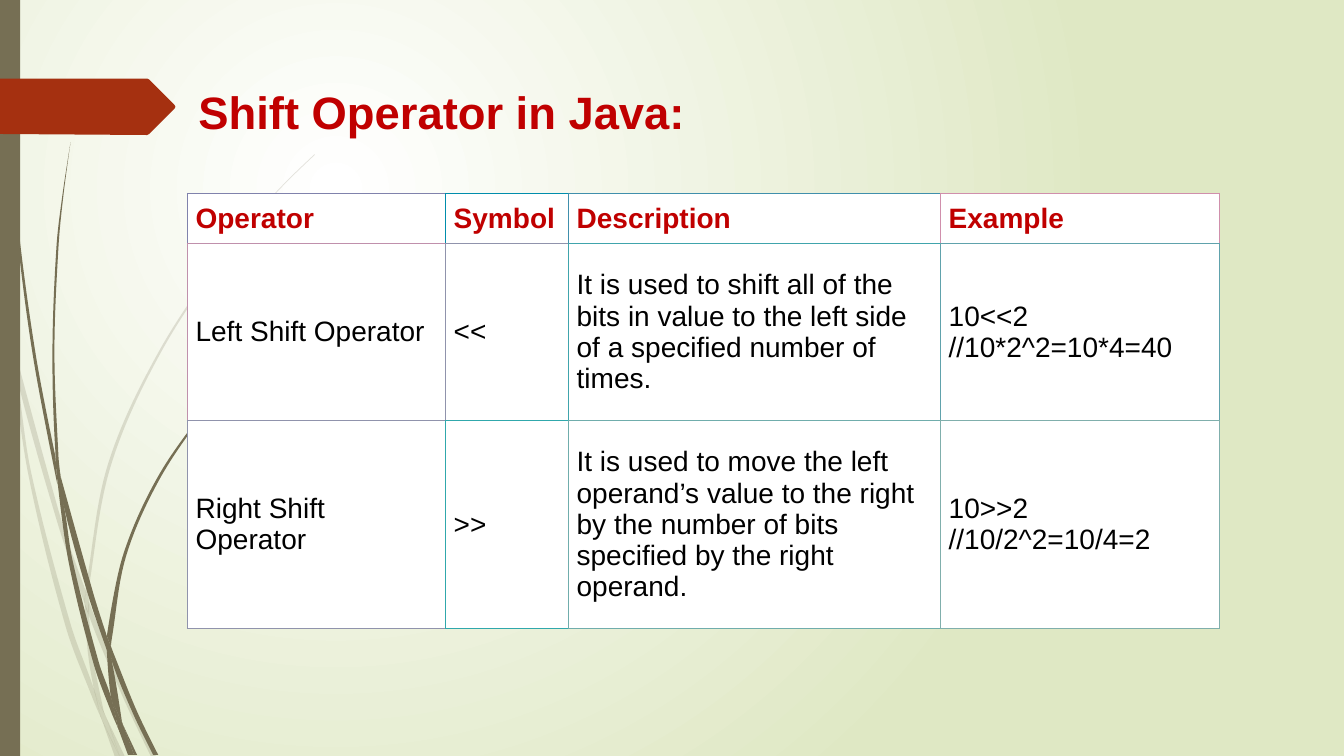
from math import dist

from lxml.etree import SubElement
from pptx import Presentation
from pptx.dml.color import RGBColor
from pptx.enum.shapes import MSO_SHAPE as Shape
from pptx.enum.text import MSO_ANCHOR as Anchor
from pptx.oxml.ns import qn
from pptx.util import Inches, Pt

WHITE = RGBColor(0xFF, 0xFF, 0xFF)
BLACK = RGBColor(0, 0, 0)
PALE_GREEN = RGBColor(0xDF, 0xE8, 0xC4)
OLIVE = RGBColor(0x76, 0x6F, 0x54)
RUST = RGBColor(0xA5, 0x30, 0x10)
RED = RGBColor(0xC0, 0, 0)
FONT = "Arial"

# Grass blades in inches: each has an edge going out and an edge coming back
FAINT_BLADES = [
    ([(0.11, 3.5), (0.09, 3.22), (0, 2.82)], [(0, 2.99), (0.1, 3.44), (0.11, 3.5)]),
    ([(0.14, 3.45), (0.17, 3.76), (0.58, 5.22), (0.84, 5.99)],
     [(0.85, 5.86), (0.62, 5.2), (0.14, 3.45)]),
    ([(0.88, 5.96), (0.88, 6.1), (1.23, 6.94), (1.5, 7.51)],
     [(1.55, 7.51), (1.27, 6.92), (0.92, 6.07), (0.88, 5.96)]),
    ([(1.19, 7.51), (1.24, 7.51)], [(1.05, 7.11), (1.19, 7.51)]),
    ([(0.11, 3.5), (0.28, 4.7), (0.65, 6.21), (0.92, 6.93), (1.01, 7.14)],
     [(0.99, 7.07), (0.93, 6.83), (0.7, 6.19), (0.31, 4.69), (0.17, 3.76), (0.11, 3.5)]),
    ([(0.84, 5.99), (0.87, 6.46), (0.93, 6.83), (0.96, 6.92), (1.05, 7.11)],
     [(1.03, 7.06), (0.91, 6.46), (0.88, 6.1), (0.84, 5.99)]),
    ([(0.85, 5.86), (0.85, 5.84), (1.07, 4.61), (1.58, 3.48), (2.28, 2.44),
      (2.68, 1.97), (2.89, 1.75), (3.12, 1.53)],
     [(3.12, 1.54), (2.9, 1.75), (2.68, 1.98), (2.29, 2.45), (1.6, 3.49),
      (1.1, 4.62), (0.88, 5.84), (0.88, 5.96)]),
    ([(1.01, 7.14), (1.14, 7.51)], [(1.19, 7.51), (1.01, 7.14)]),
    ([(0.85, 5.86), (0.84, 5.99), (0.88, 6.1)], [(0.88, 5.96), (0.85, 5.86)]),
    ([(0.93, 6.83), (0.99, 7.07), (1.01, 7.14), (1.19, 7.51)],
     [(1.19, 7.51), (1.05, 7.11), (0.96, 6.92), (0.93, 6.83)]),
]
DARK_BLADES = [
    ([(0.03, 0), (0.04, 0.48), (0.07, 1.1), (0.17, 2.33), (0.33, 3.55), (0.57, 4.81)],
     [(0.55, 4.53), (0.36, 3.55), (0.19, 2.32), (0.08, 1.09), (0.05, 0.48), (0.04, 0)]),
    ([(0.6, 4.72), (0.64, 5.05), (0.88, 5.92), (1.06, 6.45)],
     [(1.06, 6.31), (0.93, 5.9), (0.6, 4.72)]),
    ([(1.1, 6.41), (1.11, 6.56), (1.32, 7.08), (1.52, 7.49)],
     [(1.57, 7.49), (1.36, 7.06), (1.13, 6.49), (1.1, 6.41)]),
    ([(0.57, 4.77), (0.68, 5.57), (0.93, 6.59), (1.11, 7.08), (1.17, 7.22)],
     [(1.16, 7.17), (1.1, 6.91), (0.98, 6.57), (0.72, 5.56), (0.64, 5.05), (0.57, 4.77)]),
    ([(0.6, 4.72), (0.58, 4.53), (0.54, 3.49), (0.58, 2.45), (0.63, 1.93), (0.7, 1.41)],
     [(0.7, 1.41), (0.62, 1.93), (0.56, 2.45), (0.52, 3.49), (0.55, 4.49), (0.6, 4.72)]),
    ([(1.33, 7.49), (1.36, 7.49)], [(1.22, 7.19), (1.33, 7.49)]),
    ([(0.55, 4.49), (0.57, 4.77), (0.64, 5.05)], [(0.6, 4.72), (0.55, 4.49)]),
    ([(1.1, 6.41), (1.11, 6.33), (1.25, 5.52), (1.58, 4.76), (2.05, 4.06),
      (2.31, 3.74), (2.45, 3.59), (2.61, 3.44)],
     [(2.6, 3.44), (2.45, 3.58), (2.31, 3.73), (2.04, 4.05), (1.56, 4.74),
      (1.22, 5.51), (1.06, 6.31)]),
    ([(1.17, 7.22), (1.27, 7.49)], [(1.31, 7.49), (1.17, 7.22)]),
    ([(1.06, 6.45), (1.1, 6.91), (1.16, 7.06), (1.22, 7.19)],
     [(1.21, 7.16), (1.11, 6.56), (1.06, 6.45)]),
    ([(1.06, 6.31), (1.06, 6.45), (1.11, 6.56)], [(1.1, 6.41), (1.06, 6.31)]),
    ([(1.1, 6.91), (1.16, 7.17), (1.17, 7.22), (1.3, 7.49)],
     [(1.33, 7.49), (1.22, 7.19), (1.16, 7.06), (1.1, 6.91)]),
]
TAG = [(0, 0), (1.46, 0), (1.48, 0.01), (1.73, 0.26), (1.74, 0.28), (1.73, 0.3),
       (1.48, 0.55), (1.46, 0.56), (0, 0.55)]

ROWS = [
    ["Operator", "Symbol", "Description", "Example"],
    ["Left Shift Operator", "<<",
     "It is used to shift all of the bits in value to the left side of a specified "
     "number of times.", "10<<2 //10*2^2=10*4=40"],
    ["Right Shift Operator", ">>",
     "It is used to move the left operand’s value to the right by the number of bits "
     "specified by the right operand.", "10>>2 //10/2^2=10/4=2"],
]
COLUMN_WIDTHS = [2.56, 1.22, 3.69, 2.77]
ROW_HEIGHTS = [0.49, 1.76, 2.06]
# Each cell's own border colour; its neighbours share it
BORDERS = [
    ["8082AC", "008DAC", "408FAC", "D08FAC"],
    ["C090AC", "9093AC", "40A4AC", "60A2AC"],
    ["9093AC", "30A8AC", "70ADAC", "80AFAC"],
]


def curve_handles(points):
    """The two control points of each smooth segment through the points."""
    slopes = [(0, 0)]
    for before, after in zip(points, points[2:]):
        span = dist(before, after)
        slopes.append(((after[0] - before[0]) / span, (after[1] - before[1]) / span))
    slopes.append((0, 0))
    handles = []
    for index, (start, end) in enumerate(zip(points, points[1:])):
        reach = dist(start, end) / 3
        handles.append([
            tuple(p + reach * slope for p, slope in zip(start, slopes[index])),
            tuple(p - reach * slope for p, slope in zip(end, slopes[index + 1]))])
    return handles


def paint(shape, color):
    shape.shadow.inherit = False
    shape.fill.solid()
    shape.fill.fore_color.rgb = color
    shape.line.fill.background()


def add_outline(slide, left, top, points, color):
    corners = [(Inches(left + x), Inches(top + y)) for x, y in points]
    builder = slide.shapes.build_freeform(*corners[0])
    builder.add_line_segments(corners[1:])
    shape = builder.convert_to_shape()
    paint(shape, color)
    return shape


def add_blade(slide, left, top, out, back):
    blade = add_outline(slide, left, top, out + back, OLIVE)
    lines = list(blade.element.iter(qn("a:lnTo")))
    handles = [*curve_handles(out), None, *curve_handles(back)]
    for line, pair in zip(lines, handles):
        if pair:
            outline = line.getparent()
            curve = SubElement(outline, qn("a:cubicBezTo"))
            for x, y in pair:
                SubElement(curve, qn("a:pt"), x=str(Inches(left + x) - blade.left),
                           y=str(Inches(top + y) - blade.top))
            curve.append(line[0])
            outline.replace(line, curve)
    return blade


def add_background(slide):
    fill = slide.background.fill
    fill.gradient()
    for stop, color, position in zip(fill.gradient_stops, (WHITE, PALE_GREEN), (0, 1)):
        stop.color.rgb = color
        stop.position = position
    gradient = slide.element.find(".//" + qn("a:gradFill"))
    gradient.remove(gradient.find(qn("a:lin")))
    circle = SubElement(gradient, qn("a:path"), path="circle")
    SubElement(circle, qn("a:fillToRect"), l="50000", t="50000", r="100000", b="100000")


def add_side_decor(slide, left, top, height):
    # Grass blades
    for out, back in FAINT_BLADES:
        blade = add_blade(slide, left, top, out, back)
        color = blade.element.spPr.find(".//" + qn("a:srgbClr"))
        SubElement(color, qn("a:alpha"), val="20000")
    for out, back in DARK_BLADES:
        add_blade(slide, left, top, out, back)
    # Side bar and tag
    bar = slide.shapes.add_shape(Shape.RECTANGLE, Inches(left), Inches(top),
                                 Inches(0.2), Inches(height))
    paint(bar, OLIVE)
    add_outline(slide, left, top + 0.78, TAG, RUST)


def style_text(paragraph, text, size, bold, color):
    paragraph.text = text
    font = paragraph.font
    font.name, font.size, font.bold = FONT, Pt(size), bold
    font.color.rgb = color


def add_title(slide, left, top, width, height):
    box = slide.shapes.add_textbox(Inches(left), Inches(top), Inches(width), Inches(height))
    frame = box.text_frame
    frame.word_wrap = True
    frame.margin_top = Inches(0.04)
    frame.margin_bottom = 0
    style_text(frame.paragraphs[0], "Shift Operator in Java:", 32.4, True, RED)


def set_borders(cell, row, column):
    own = (BORDERS[row][column], 1)
    edge = (BORDERS[row][column], 0.75)
    right = (BORDERS[row][column + 1], 1) if column < len(COLUMN_WIDTHS) - 1 else edge
    bottom = (BORDERS[row + 1][column], 1) if row < len(ROWS) - 1 else edge
    properties = cell._tc.get_or_add_tcPr()
    sides = zip(("a:lnL", "a:lnR", "a:lnT", "a:lnB"), (own, right, own, bottom))
    for index, (tag, (color, points)) in enumerate(sides):
        line = SubElement(properties, qn(tag), w=str(Pt(points)))
        SubElement(SubElement(line, qn("a:solidFill")), qn("a:srgbClr"), val=color)
        properties.insert(index, line)


def add_operator_table(slide, left, top):
    frame = slide.shapes.add_table(len(ROWS), len(COLUMN_WIDTHS), Inches(left), Inches(top),
                                   Inches(sum(COLUMN_WIDTHS)), Inches(sum(ROW_HEIGHTS)))
    table = frame.table
    table.first_row = table.horz_banding = False
    for column, width in zip(table.columns, COLUMN_WIDTHS):
        column.width = Inches(width)
    for row, height in enumerate(ROW_HEIGHTS):
        table.rows[row].height = Inches(height)
        for column, text in enumerate(ROWS[row]):
            cell = table.cell(row, column)
            cell.margin_left = cell.margin_right = Inches(0.08)
            cell.margin_top = cell.margin_bottom = Inches(0.08)
            cell.vertical_anchor = Anchor.MIDDLE
            cell.fill.solid()
            cell.fill.fore_color.rgb = WHITE
            set_borders(cell, row, column)
            style_text(cell.text_frame.paragraphs[0], text, 20, row == 0,
                       RED if row == 0 else BLACK)


def main():
    presentation = Presentation()
    presentation.slide_width, presentation.slide_height = Inches(13.33), Inches(7.5)
    slide = presentation.slides.add_slide(presentation.slide_layouts[6])
    add_background(slide)
    add_side_decor(slide, 0, 0, 7.5)
    add_title(slide, 1.87, 0.79, 9.75, 0.45)
    add_operator_table(slide, 1.86, 1.92)
    presentation.save("out.pptx")


if __name__ == "__main__":
    main()
